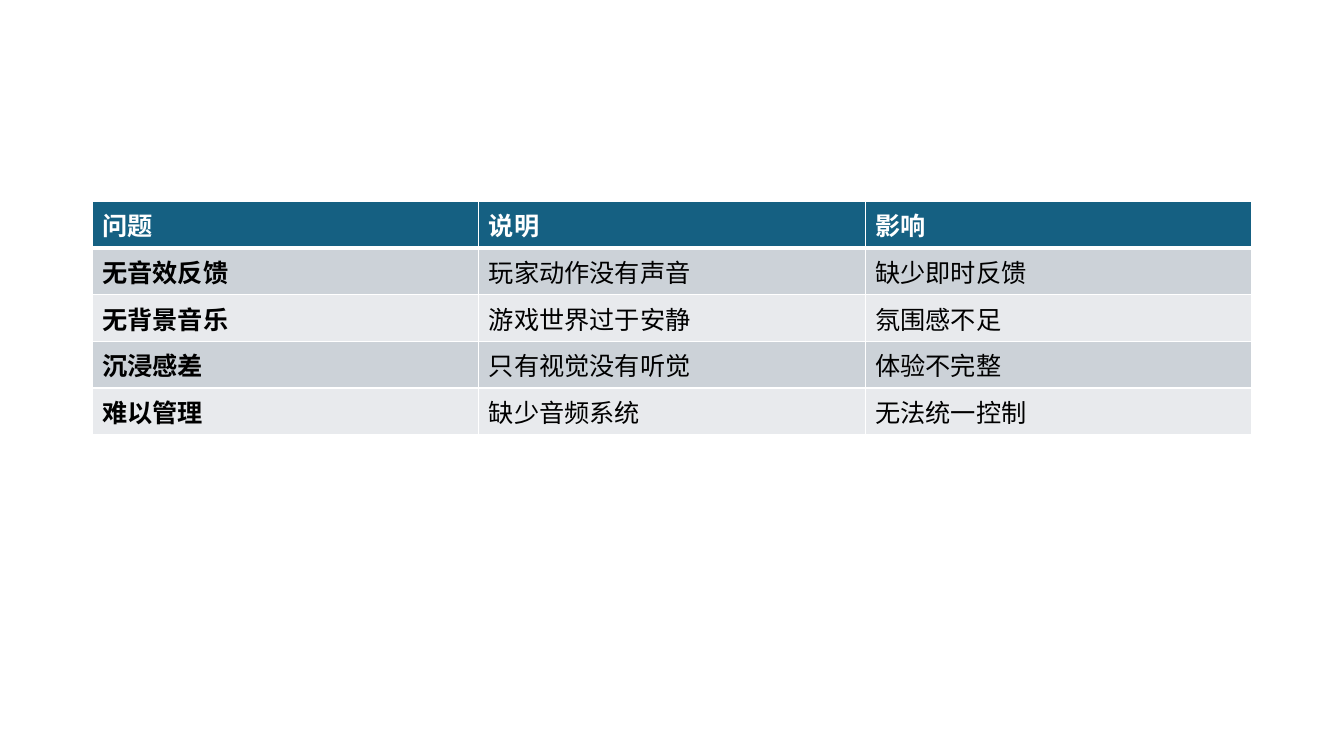
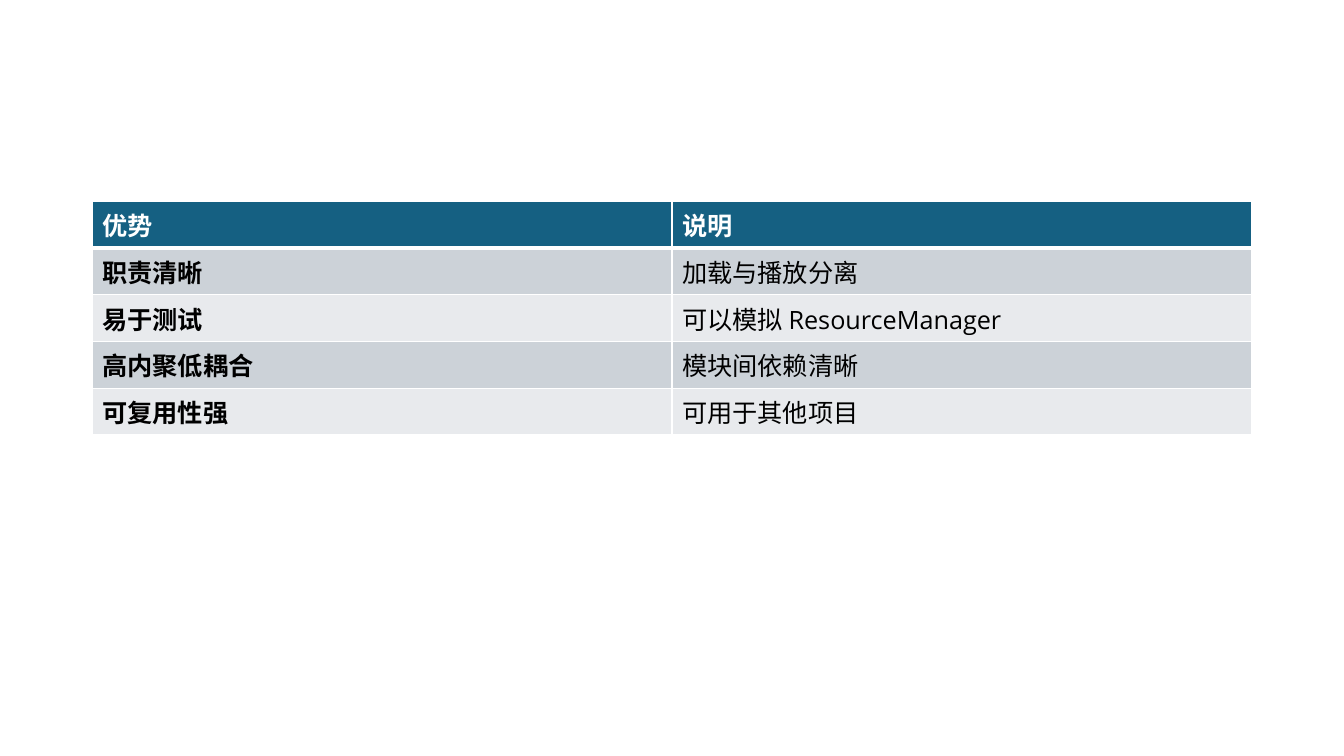
from lxml.etree import SubElement
from pptx import Presentation
from pptx.dml.color import RGBColor
from pptx.enum.lang import MSO_LANGUAGE_ID as Language
from pptx.enum.text import MSO_ANCHOR as Anchor
from pptx.oxml.ns import qn
from pptx.util import Inches, Pt

# Shared look
WHITE = RGBColor(0xFF, 0xFF, 0xFF)
BLACK = RGBColor(0x00, 0x00, 0x00)
HEADER_BLUE = RGBColor(0x15, 0x60, 0x82)
BAND_DARK = RGBColor(0xCC, 0xD2, 0xD8)
BAND_LIGHT = RGBColor(0xE8, 0xEA, 0xED)
FONT = "Open Sans"
THIN, THICK = Pt(1), Pt(3)

# Table frame, the same on every slide
TABLE_WIDTH = Inches(11.5)
TABLE_TOP = Inches(2)
ROW_HEIGHT = Inches(0.41)

# Header row first, then the body rows
TABLES = [
    [
        ["问题", "说明", "影响"],
        ["无音效反馈", "玩家动作没有声音", "缺少即时反馈"],
        ["无背景音乐", "游戏世界过于安静", "氛围感不足"],
        ["沉浸感差", "只有视觉没有听觉", "体验不完整"],
        ["难以管理", "缺少音频系统", "无法统一控制"],
    ],
    [
        ["优势", "说明"],
        ["职责清晰", "加载与播放分离"],
        ["易于测试", "可以模拟 ResourceManager"],
        ["高内聚低耦合", "模块间依赖清晰"],
        ["可复用性强", "可用于其他项目"],
    ],
]


def write_text(cell, text, *, color=BLACK, bold=False, size=18):
    cell.vertical_anchor = Anchor.MIDDLE
    span = cell.text_frame.paragraphs[0].add_run()
    span.text = text
    font = span.font
    font.name, font.size, font.bold = FONT, Pt(size), bold
    font.color.rgb = color
    font.language_id = Language.SIMPLIFIED_CHINESE


def draw_borders(cell, *, top=THIN, bottom=THIN):
    properties = cell._tc.get_or_add_tcPr()
    for side, width in (("L", THIN), ("R", THIN), ("T", top), ("B", bottom)):
        line = SubElement(properties, qn(f"a:ln{side}"), w=str(width))
        fill = SubElement(line, qn("a:solidFill"))
        SubElement(fill, qn("a:srgbClr"), val=str(WHITE))


deck = Presentation()
deck.slide_width, deck.slide_height = Inches(13.33), Inches(7.5)
table_left = (deck.slide_width - TABLE_WIDTH) // 2

for rows in TABLES:
    page = deck.slides.add_slide(deck.slide_layouts[6])
    frame = page.shapes.add_table(
        len(rows), len(rows[0]), table_left, TABLE_TOP,
        TABLE_WIDTH, ROW_HEIGHT * len(rows),
    )
    for row_index, row in enumerate(rows):
        is_header = row_index == 0
        band = BAND_DARK if row_index % 2 else BAND_LIGHT
        for column_index, text in enumerate(row):
            cell = frame.table.cell(row_index, column_index)
            write_text(
                cell, text,
                color=WHITE if is_header else BLACK,
                bold=is_header or column_index == 0,
            )
            # The thick rule lies between the header and the first body row
            draw_borders(
                cell,
                top=THICK if row_index == 1 else THIN,
                bottom=THICK if is_header else THIN,
            )
            cell.fill.solid()
            cell.fill.fore_color.rgb = HEADER_BLUE if is_header else band

deck.save("out.pptx")
